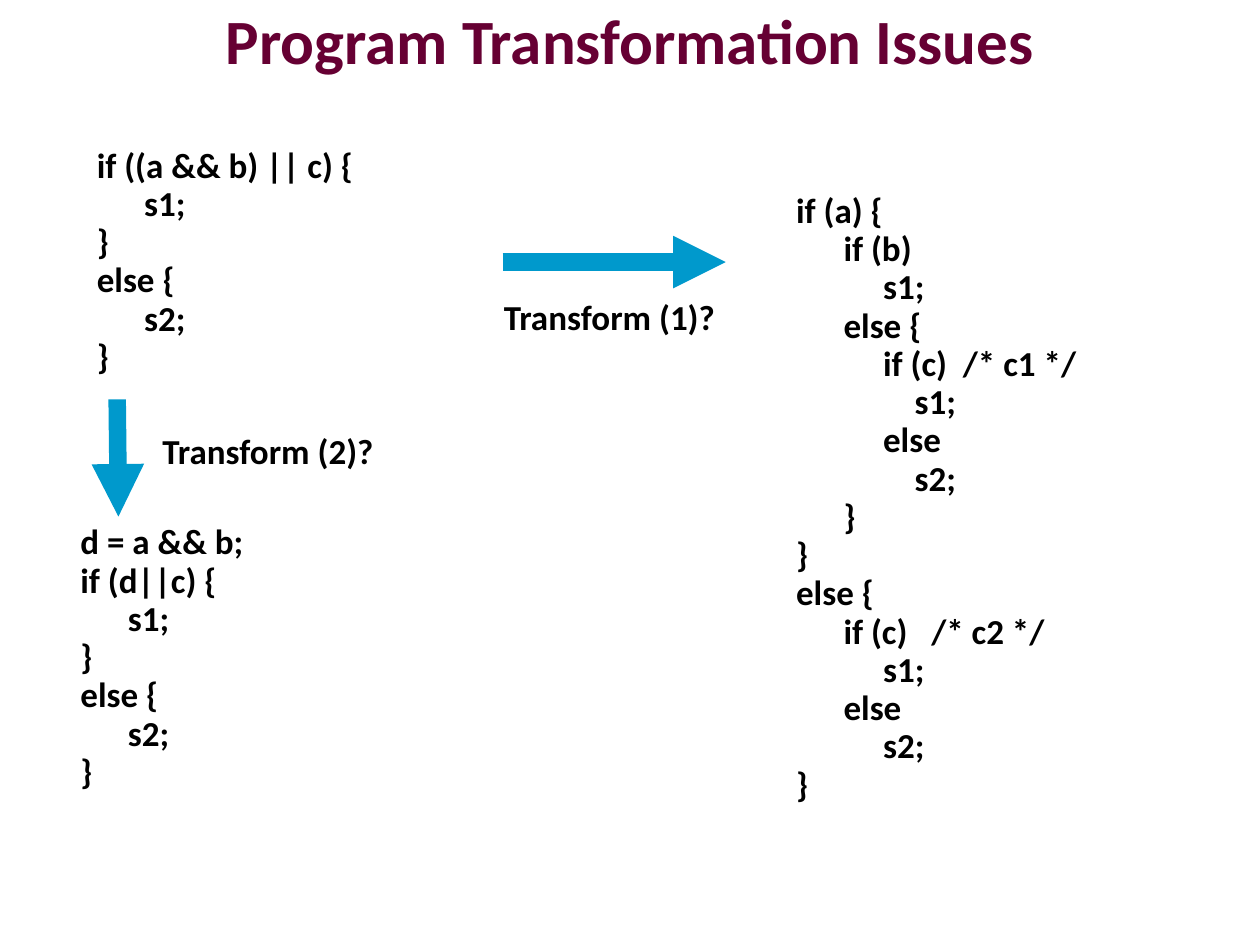
from dataclasses import dataclass

from pptx import Presentation
from pptx.dml.color import RGBColor
from pptx.enum import shapes, text
from pptx.oxml import ns, xmlchemy
from pptx.slide import Slide
from pptx.util import Inches, Pt


@dataclass(frozen=True)
class Theme:
    font: str = "Calibri"
    title_color: RGBColor = RGBColor(0x66, 0x00, 0x33)
    text_color: RGBColor = RGBColor(0x00, 0x00, 0x00)
    arrow_color: RGBColor = RGBColor(0x00, 0x99, 0xCC)
    title_size: Pt = Pt(36)
    text_size: Pt = Pt(20)
    paragraph_gap: Pt = Pt(9.85)
    arrow_width: Pt = Pt(10)


@dataclass(frozen=True)
class TextBlock:
    left: float
    top: float
    width: float
    height: float
    content: str
    top_inset: float = 0.07


@dataclass(frozen=True)
class Arrow:
    start: tuple[float, float]
    end: tuple[float, float]


THEME = Theme()
LOWERED = 0.55  # top inset of blocks whose text starts a line lower

BLOCKS = [
    TextBlock(0.67, 0.73, 3.03, 2.31, """if ((a && b) || c) {
      s1;
}
else {
      s2;
}""", LOWERED),
    TextBlock(6.22, 1.09, 3.03, 5.68, """if (a) {
      if (b)
           s1;
      else {
           if (c)  /* c1 */
               s1;
           else
               s2;
      }
}
else {
      if (c)   /* c2 */
           s1;
      else
           s2;
}""", LOWERED),
    TextBlock(3.9, 1.94, 2.16, 0.64, "Transform (1)?", LOWERED),
    TextBlock(1.19, 3.48, 2.27, 0.3, "Transform (2)?"),
    TextBlock(0.54, 4.2, 3.03, 2.32, """d = a && b;
if (d||c) {
      s1;
}
else {
      s2;
}"""),
]

ARROWS = [
    Arrow((3.99, 2.08), (5.76, 2.08)),
    Arrow((0.93, 3.17), (0.94, 4.1)),
]


def add_run(paragraph, content: str, size: Pt, color: RGBColor) -> None:
    run = paragraph.add_run()
    run.text = content
    run.font.name = THEME.font
    run.font.size = size
    run.font.bold = True
    run.font.color.rgb = color


def set_title(slide: Slide, content: str) -> None:
    title = slide.shapes.title
    title.left, title.top = Inches(0.75), Inches(0.08)
    title.width, title.height = Inches(8.5), Inches(0.46)
    frame = title.text_frame
    frame.auto_size = text.MSO_AUTO_SIZE.NONE
    frame.vertical_anchor = text.MSO_ANCHOR.MIDDLE
    heading = frame.paragraphs[0]
    heading.alignment = text.PP_ALIGN.CENTER
    add_run(heading, content, THEME.title_size, THEME.title_color)


def add_block(slide: Slide, block: TextBlock) -> None:
    box = slide.shapes.add_textbox(Inches(block.left), Inches(block.top),
                                   Inches(block.width), Inches(block.height))
    frame = box.text_frame
    frame.word_wrap = True
    frame.auto_size = text.MSO_AUTO_SIZE.SHAPE_TO_FIT_TEXT
    frame.margin_top = Inches(block.top_inset)
    for index, line in enumerate(block.content.split("\n")):
        paragraph = frame.add_paragraph() if index else frame.paragraphs[0]
        paragraph.line_spacing = 0.5
        paragraph.space_before = THEME.paragraph_gap if index else Pt(0)
        add_run(paragraph, line, THEME.text_size, THEME.text_color)


def add_arrow(slide: Slide, arrow: Arrow) -> None:
    connector = slide.shapes.add_connector(
        shapes.MSO_CONNECTOR.STRAIGHT,
        *(Inches(value) for value in arrow.start + arrow.end))
    connector.line.color.rgb = THEME.arrow_color
    connector.line.width = THEME.arrow_width
    head = xmlchemy.OxmlElement("a:tailEnd")
    head.set("type", "triangle")
    properties = connector.line._get_or_add_ln()
    properties.append(head)
    properties.getparent().append(xmlchemy.OxmlElement("a:effectLst"))


def main() -> None:
    presentation = Presentation()
    presentation.slide_width = Inches(10)
    presentation.slide_height = Inches(7.5)
    title_only = presentation.slide_layouts[5]
    slide = presentation.slides.add_slide(title_only)
    set_title(slide, "Program Transformation Issues")
    for block in BLOCKS:
        add_block(slide, block)
    for arrow in ARROWS:
        add_arrow(slide, arrow)
    presentation.save("out.pptx")


if __name__ == "__main__":
    main()
